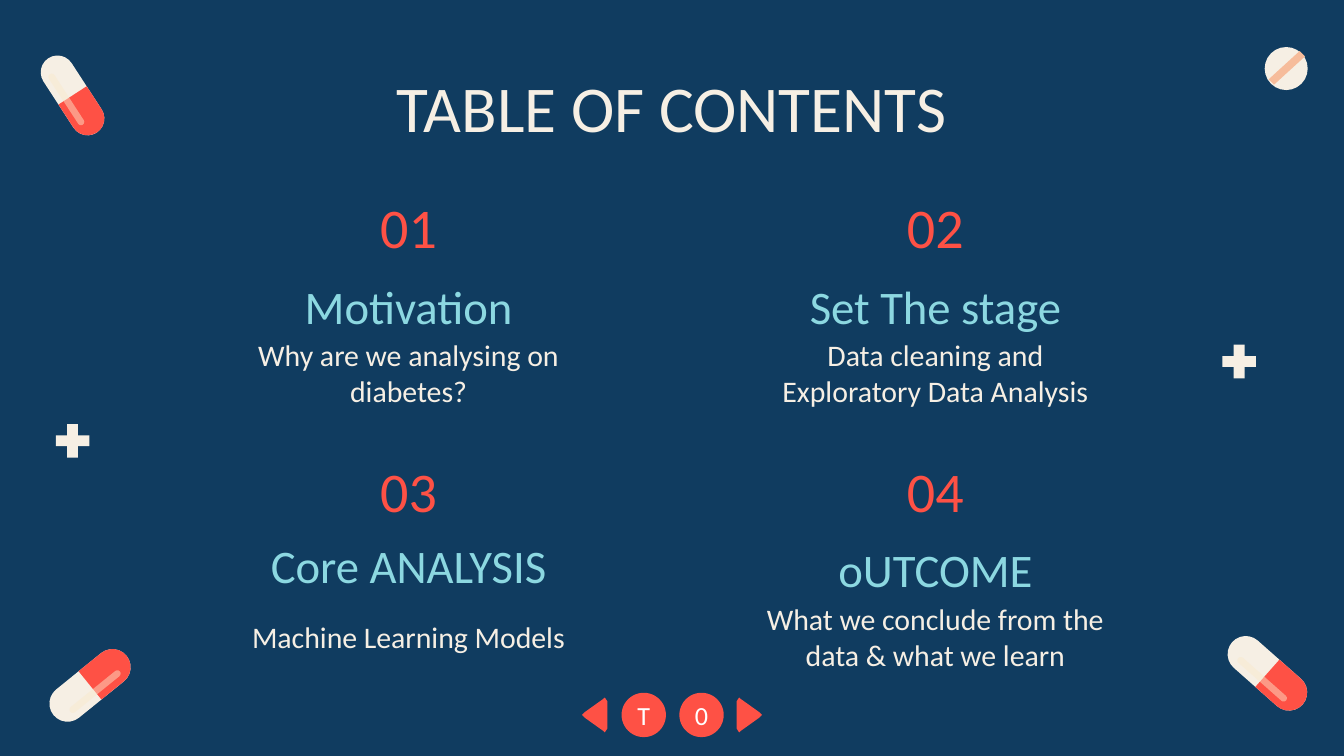
from math import cos, radians, sin

from lxml import etree
from pptx import Presentation
from pptx.dml.color import RGBColor
from pptx.enum.shapes import MSO_SHAPE
from pptx.enum.text import MSO_ANCHOR, PP_ALIGN
from pptx.oxml.ns import qn
from pptx.util import Inches, Pt

ELLIPSE = MSO_SHAPE.OVAL
CROSS = MSO_SHAPE.CROSS
ROUNDED = MSO_SHAPE.ROUNDED_RECTANGLE
HALF_ROUNDED = MSO_SHAPE.ROUND_2_SAME_RECTANGLE
MIDDLE, TOP = MSO_ANCHOR.MIDDLE, MSO_ANCHOR.TOP
CENTER = PP_ALIGN.CENTER

NAVY = RGBColor(0x10, 0x3C, 0x60)
CREAM = RGBColor(0xF6, 0xEF, 0xE4)
RED = RGBColor(0xFE, 0x51, 0x45)
AQUA = RGBColor(0x8C, 0xD8, 0xE1)
PEACH = RGBColor(0xF6, 0xBC, 0x9B)
GLOSS = RGBColor(0xFA, 0xE9, 0xCD)
WHITE = RGBColor(0xFF, 0xFF, 0xFF)
FONT = "Calibri"

TITLE = "TABLE OF CONTENTS"
SECTIONS = [
    ("01", "Motivation", "Why are we analysing on diabetes?", 2.07),
    ("02", "Set The stage", "Data cleaning and Exploratory Data Analysis", 2.07),
    ("03", "Core ANALYSIS", "Machine Learning Models", 4),
    ("04", "oUTCOME", "What we conclude from the data & what we learn", 4.03),
]
COLUMN_CENTERS = (3.04, 6.96)
ROW_TOPS = (1.36, 3.32)
DESCRIPTION_OFFSET = 1.12

PLUS_CENTERS = [(0.54, 3.28), (9.22, 2.69)]
PILLS = [
    (0.54, 0.71, 0.66, 0.25, 57),
    (0.67, 5.1, 0.7, 0.27, -39),
    (9.43, 5.01, 0.7, 0.27, 41.5),
]
TABLET_BAND = [(9.67, 0.38), (9.44, 0.59), (9.48, 0.63), (9.71, 0.42)]
BUTTONS = [("T", 4.79), ("0", 5.22)]
ARROW = [
    (0.5, 5.19), (0.48, 5.22), (0.48, 5.42), (0.5, 5.45), (0.51, 5.44),
    (0.65, 5.34), (0.67, 5.32), (0.65, 5.3), (0.51, 5.2),
]


def paint(shape, color):
    shape.shadow.inherit = False
    shape.fill.solid()
    shape.fill.fore_color.rgb = color
    shape.line.fill.background()


def add_centered(slide, kind, x, y, width, height, color, angle=0):
    shape = slide.shapes.add_shape(
        kind, Inches(x - width / 2), Inches(y - height / 2), Inches(width), Inches(height)
    )
    shape.rotation = angle
    paint(shape, color)
    return shape


def add_outline(slide, points, color):
    corners = [(Inches(x), Inches(y)) for x, y in points]
    builder = slide.shapes.build_freeform(*corners[0])
    builder.add_line_segments(corners[1:])
    paint(builder.convert_to_shape(), color)


def write(shape, text, size, color, anchor=MIDDLE, side_inset=0.1):
    frame = shape.text_frame
    frame.word_wrap = True
    frame.vertical_anchor = anchor
    frame.margin_left = frame.margin_right = Inches(side_inset)
    frame.margin_top = frame.margin_bottom = Inches(0.1)
    paragraph = frame.paragraphs[0]
    paragraph.text = text
    paragraph.alignment = CENTER
    paragraph.font.name = FONT
    paragraph.font.size = Pt(size)
    paragraph.font.color.rgb = color


def add_text(slide, center, top, width, height, text, size, color, anchor=MIDDLE):
    box = slide.shapes.add_textbox(
        Inches(center - width / 2), Inches(top), Inches(width), Inches(height)
    )
    write(box, text, size, color, anchor)


def add_pill(slide, x, y, length, thickness, angle):
    across, down = cos(radians(angle)), sin(radians(angle))
    body = add_centered(slide, ROUNDED, x, y, length, thickness, CREAM, angle)
    body.adjustments[0] = 0.5
    half = add_centered(
        slide, HALF_ROUNDED, x + across * length / 4, y + down * length / 4,
        thickness, length / 2, RED, angle + 90,
    )
    half.adjustments[0] = 0.5
    shift = 0.22 * thickness
    gloss = add_centered(
        slide, ROUNDED, x - down * shift, y + across * shift,
        0.68 * length, 0.05, GLOSS, angle,
    )
    gloss.adjustments[0] = 0.5
    color = gloss._element.spPr.find(qn("a:solidFill"))[0]
    etree.SubElement(color, qn("a:alpha")).set("val", "48000")


def main():
    presentation = Presentation()
    presentation.slide_width = Inches(10)
    presentation.slide_height = Inches(10 * 9 / 16)
    slide = presentation.slides.add_slide(presentation.slide_layouts[6])
    slide.background.fill.solid()
    slide.background.fill.fore_color.rgb = NAVY

    for x, y in PLUS_CENTERS:
        plus = add_centered(slide, CROSS, x, y, 0.25, 0.25, CREAM)
        plus.adjustments[0] = 0.34
    add_centered(slide, ELLIPSE, 9.57, 0.51, 0.32, 0.32, CREAM)
    add_outline(slide, TABLET_BAND, PEACH)
    for pill in PILLS:
        add_pill(slide, *pill)

    add_text(slide, 5, 0.4, 8.44, 0.63, TITLE, 35, CREAM, TOP)
    for index, (number, heading, description, heading_top) in enumerate(SECTIONS):
        row, column = divmod(index, 2)
        center, top = COLUMN_CENTERS[column], ROW_TOPS[row]
        add_text(slide, center, top, 1, 0.65, number, 30, RED)
        add_text(slide, center, heading_top, 3.47, 0.41, heading, 25, AQUA)
        add_text(slide, center, top + DESCRIPTION_OFFSET, 2.77, 0.59, description, 16, CREAM)

    for label, center in BUTTONS:
        button = add_centered(slide, ELLIPSE, center, 5.32, 0.33, 0.33, RED)
        write(button, label, 14, WHITE, side_inset=0)
    for direction in (-1, 1):
        add_outline(slide, [(5 + direction * x, y) for x, y in ARROW], RED)

    presentation.save("out.pptx")


if __name__ == "__main__":
    main()
